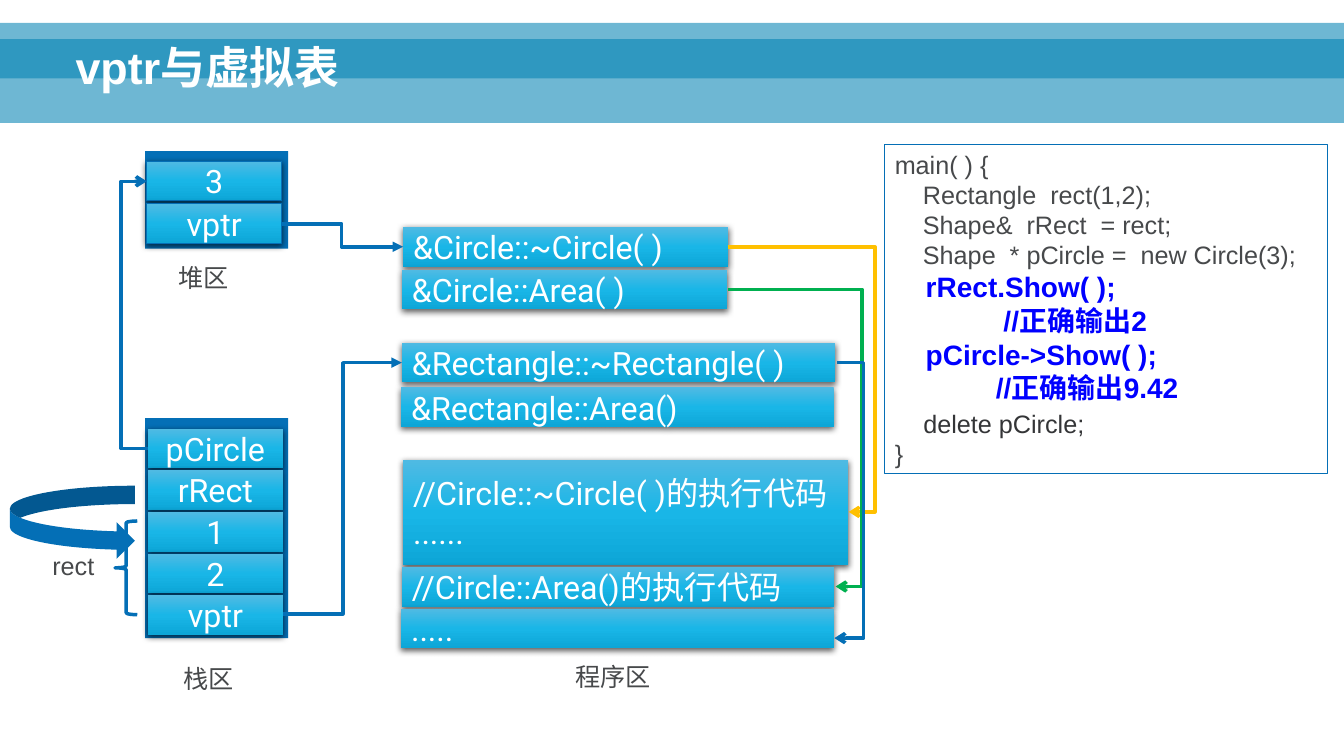
from dataclasses import dataclass
from pptx import Presentation
from pptx.dml.color import RGBColor
from pptx.enum.shapes import MSO_CONNECTOR, MSO_SHAPE
from pptx.enum.text import MSO_ANCHOR, MSO_AUTO_SIZE, PP_ALIGN
from pptx.oxml import parse_xml
from pptx.oxml.ns import nsdecls
from pptx.util import Cm, Pt

RECT, BRACE, LOOP = MSO_SHAPE.RECTANGLE, MSO_SHAPE.LEFT_BRACE, MSO_SHAPE.CURVED_RIGHT_ARROW
ELBOW = MSO_CONNECTOR.ELBOW
LEFT, CENTER = PP_ALIGN.LEFT, PP_ALIGN.CENTER
TOP, MIDDLE, BOTTOM = MSO_ANCHOR.TOP, MSO_ANCHOR.MIDDLE, MSO_ANCHOR.BOTTOM


@dataclass(frozen=True)
class Theme:
    """Colours, fonts and type sizes."""
    blue: str = "046FB6"
    band: str = "0082B3"
    white: str = "FFFFFF"
    grey: str = "47494B"
    dark: str = "343537"
    call: str = "0000FF"
    yellow: str = "FFC000"
    green: str = "00B050"
    gradient: tuple = ((0, "50BAE3"), (50, "19B6E7"), (100, "0DA6D7"))
    sans: str = "Arial"
    cell_font: str = "Roboto"
    title: int = 32
    cell: int = 23
    call_size: int = 20
    body: int = 18
    thick: float = 2.5
    thin: float = 0.75


T = Theme()

# All lengths in cm
TITLE = "vptr与虚拟表"
BANDS = [(0, 0.99, 33.87, 2.11), (0, 0.58, 33.87, 1.4)]
PANELS = [(3.66, 3.81, 3.6, 2.46), (3.66, 10.54, 3.6, 5.54)]
CELL_H, CELL_W = 1.0, 3.4
HEAP = ["3", "vptr"]
HEAP_X, HEAP_Y, HEAP_STEP = 3.7, 4.06, 1.07
STACK = ["pCircle", "rRect", "1", "2", "vptr"]
STACK_X, STACK_Y, STACK_STEP = 3.73, 10.8, 1.05
CODE_CELLS = [  # left, top, width, height, lines
    (10.16, 5.72, 8.2, CELL_H, ["&Circle::~Circle( )"]),
    (10.13, 6.8, 8.2, CELL_H, ["&Circle::Area( )"]),
    (10.13, 8.64, 10.92, CELL_H, ["&Rectangle::~Rectangle( )"]),
    (10.11, 9.76, 10.9, CELL_H, ["&Rectangle::Area()"]),
    (10.16, 11.58, 11.22, 2.66, ["//Circle::~Circle( )的执行代码", "......"]),
    (10.13, 14.29, 10.9, CELL_H, ["//Circle::Area()的执行代码"]),
    (10.11, 15.34, 10.9, CELL_H, ["....."]),
]
LABELS = [
    ("rect", 1.07, 13.74, 1.8),
    ("堆区", 4.25, 6.48, 2.4),
    ("栈区", 4.37, 16.59, 2.4),
    ("程序区", 14.25, 16.54, 3.84),
]
LISTING_BOX = (22.3, 3.63, 11.15, 8.31)
LISTING = [  # text, indent, colour, is a highlighted call, space before
    ("main( ) {", 0, T.grey, False, 0),
    ("Rectangle  rect(1,2);", 0.71, T.grey, False, 0),
    ("Shape&  rRect  = rect;", 0.71, T.grey, False, 0),
    ("Shape  * pCircle =  new Circle(3);", 0.71, T.grey, False, 0),
    ("rRect.Show( );", 0.78, T.call, True, 0),
    ("//正确输出2", 2.74, T.call, True, 0),
    ("pCircle->Show( );", 0.78, T.call, True, 0),
    ("//正确输出9.42", 2.55, T.call, True, 0),
    ("delete pCircle;", 0.72, T.dark, False, 2.5),
    ("}", 0, T.grey, False, 0),
]
ARROWS = [  # start, x of the bend, end, colour, head
    ((7.14, 15.47), 8.64, (10.13, 9.14), T.blue, "triangle"),
    ((7.09, 5.64), 8.61, (10.16, 6.22), T.blue, "triangle"),
    ((3.73, 11.3), 3.05, (3.7, 4.57), T.blue, "arrow"),
    ((18.34, 6.22), 22.05, (21.39, 12.9), T.yellow, "arrow"),
    ((18.34, 7.29), 21.72, (21.06, 14.78), T.green, "arrow"),
    ((21.1, 9.14), 21.77, (21.03, 16.08), T.blue, "arrow"),
]


def rgb(colour):
    """Turn a hex string into a colour."""
    return RGBColor.from_string(colour)


def style(p, size, colour, font=T.sans, bold=False, align=LEFT):
    """Set the font and alignment of a paragraph."""
    p.font.size, p.font.name, p.font.bold = Pt(size), font, bold
    p.font.color.rgb = rgb(colour)
    p.alignment = align


def add_shape(shapes, kind, box, fill=None, line=None, width=T.thin):
    """Add a shape without shadow, with optional fill and line."""
    s = shapes.add_shape(kind, *map(Cm, box))
    s.shadow.inherit = False
    if fill:
        s.fill.solid()
        s.fill.fore_color.rgb = rgb(fill)
    else:
        s.fill.background()
    if line:
        s.line.color.rgb = rgb(line)
        s.line.width = Pt(width)
    else:
        s.line.fill.background()
    return s


def add_band(shapes, box):
    """Add a translucent header band."""
    s = add_shape(shapes, RECT, box, T.band)
    colour = s._element.spPr.xpath("a:solidFill/a:srgbClr")[0]
    colour.append(parse_xml(f'<a:alpha {nsdecls("a")} val="57000"/>'))


def add_cell(shapes, box, lines, align=LEFT, line=None):
    """Add a memory cell with gradient, soft shadow and text."""
    s = add_shape(shapes, RECT, box, line=line)
    spPr = s._element.spPr
    stops = "".join(f'<a:gs pos="{pos * 1000}"><a:srgbClr val="{c}"/></a:gs>'
                    for pos, c in T.gradient)
    no_fill = spPr.xpath("a:noFill")[0]
    spPr.replace(no_fill, parse_xml(
        f'<a:gradFill {nsdecls("a")} rotWithShape="1"><a:gsLst>{stops}</a:gsLst>'
        '<a:lin ang="5400000" scaled="0"/></a:gradFill>'))
    spPr.xpath("a:effectLst")[0].append(parse_xml(
        f'<a:outerShdw {nsdecls("a")} blurRad="{Pt(4.5)}" dist="{Pt(1.5)}" dir="5400000" '
        'algn="ctr" rotWithShape="0"><a:srgbClr val="000000"><a:alpha val="63000"/>'
        '</a:srgbClr></a:outerShdw>'))
    tf = s.text_frame
    tf.word_wrap, tf.vertical_anchor = True, MIDDLE
    tf.text = "\n".join(lines)
    for p in tf.paragraphs:
        style(p, T.cell, T.white, T.cell_font, align=align)


def add_label(shapes, text, x, y, w):
    """Add a caption next to a memory area."""
    tf = shapes.add_textbox(Cm(x), Cm(y), Cm(w), Cm(1.02)).text_frame
    tf.word_wrap = True
    tf.text = text
    style(tf.paragraphs[0], T.body, T.grey)


def add_listing(shapes):
    """Add the framed program with indented lines."""
    tf = add_shape(shapes, RECT, LISTING_BOX, T.white, T.blue).text_frame
    tf.word_wrap, tf.vertical_anchor = True, TOP
    tf.text = "\n".join(row[0] for row in LISTING)
    for p, (_, indent, colour, call, before) in zip(tf.paragraphs, LISTING):
        style(p, T.call_size if call else T.body, colour, bold=call)
        p.space_before = Pt(before)
        p._p.get_or_add_pPr().set("marL", str(Cm(indent)))


def add_arrow(shapes, start, bend_x, end, colour, head):
    """Add an elbow arrow that turns at bend_x."""
    s = shapes.add_connector(ELBOW, *map(Cm, start + end))
    s.line.color.rgb, s.line.width = rgb(colour), Pt(T.thick)
    adj = round((bend_x - start[0]) / (end[0] - start[0]) * 100000)
    spPr = s._element.spPr
    spPr.xpath("a:prstGeom/a:avLst")[0].append(parse_xml(
        f'<a:gd {nsdecls("a")} name="adj1" fmla="val {adj}"/>'))
    s.line._get_or_add_ln().append(parse_xml(f'<a:tailEnd {nsdecls("a")} type="{head}"/>'))
    spPr.append(parse_xml(f'<a:effectLst {nsdecls("a")}/>'))


def add_title(slide):
    """Format the title and lift it above the bands."""
    s = slide.shapes.title
    s.left, s.top, s.width, s.height = map(Cm, (1.65, 0.3, 30.43, 2.21))
    tf = s.text_frame
    tf.text = TITLE
    tf.auto_size, tf.vertical_anchor = MSO_AUTO_SIZE.NONE, BOTTOM
    p = tf.paragraphs[0]
    style(p, T.title, T.white, bold=True)
    p.line_spacing = 0.9
    slide.shapes._spTree.append(s._element)


prs = Presentation()
prs.slide_width, prs.slide_height = Cm(33.87), Cm(19.05)
slide = prs.slides.add_slide(prs.slide_layouts[5])
shapes = slide.shapes
for box in BANDS:
    add_band(shapes, box)
add_title(slide)
for box in PANELS:
    add_shape(shapes, RECT, box, T.blue)
for i, text in enumerate(HEAP):
    add_cell(shapes, (HEAP_X, HEAP_Y + i * HEAP_STEP, CELL_W, CELL_H), [text], CENTER, T.blue)
for i, text in enumerate(STACK):
    add_cell(shapes, (STACK_X, STACK_Y + i * STACK_STEP, CELL_W, CELL_H), [text], CENTER)
add_shape(shapes, BRACE, (2.9, 13.13, 0.56, 2.36), line=T.blue, width=T.thick)
add_shape(shapes, LOOP, (0.25, 12.24, 3.15, 1.85), T.blue)
for *box, lines in CODE_CELLS:
    add_cell(shapes, box, lines)
for label in LABELS:
    add_label(shapes, *label)
add_listing(shapes)
for arrow in ARROWS:
    add_arrow(shapes, *arrow)
prs.save("out.pptx")
